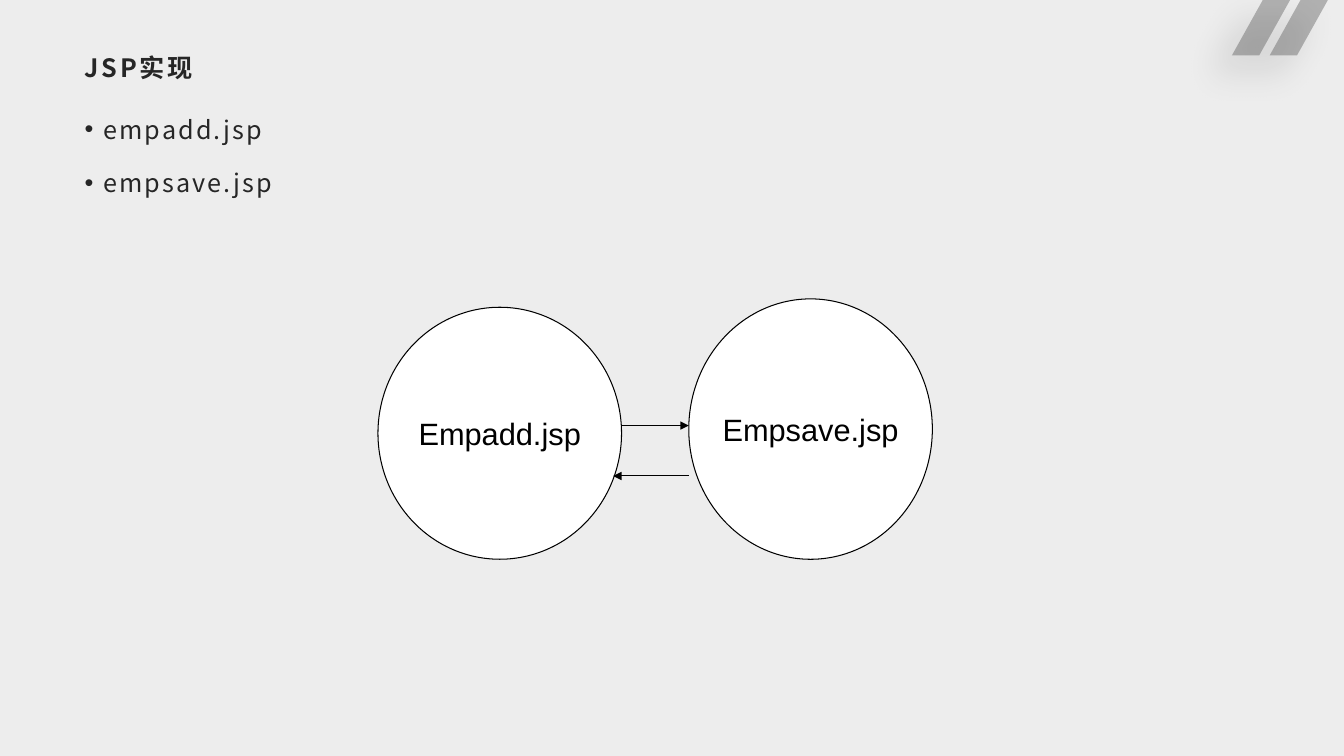
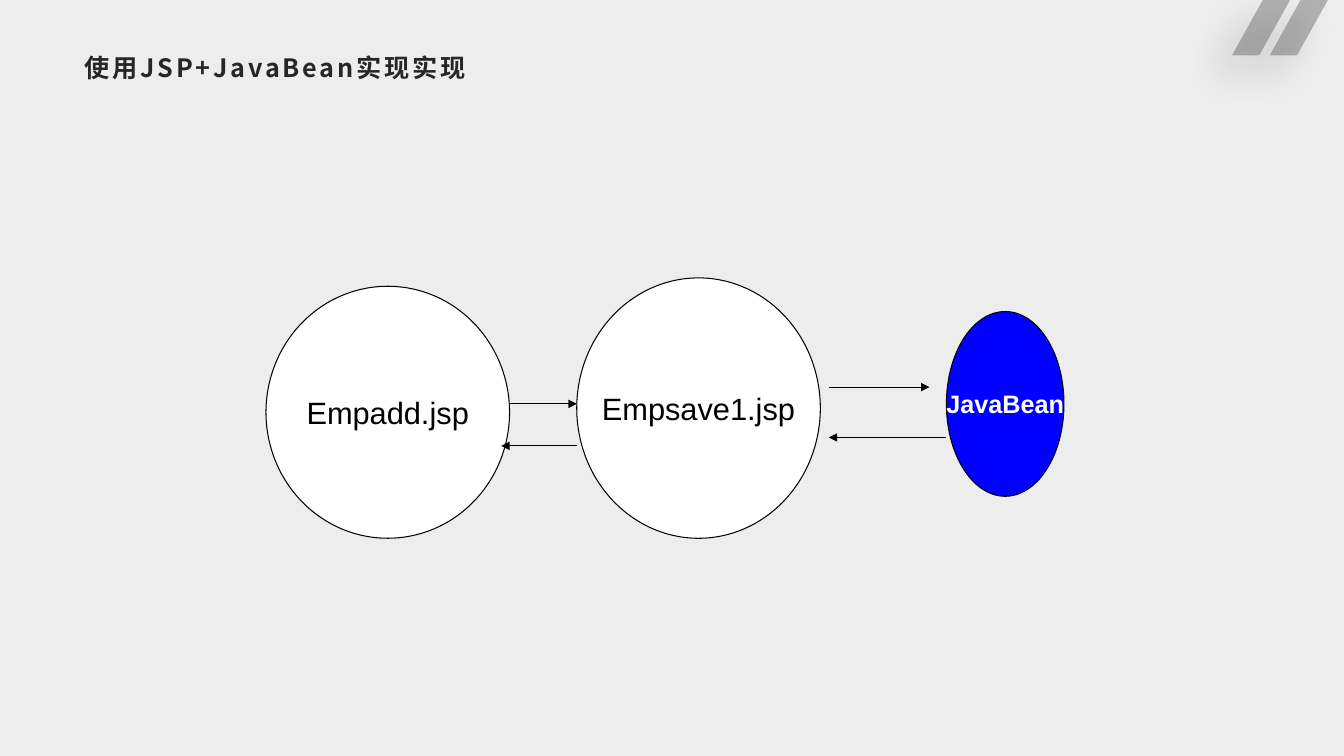
from dataclasses import dataclass

from lxml import etree
from pptx import Presentation
from pptx.dml.color import RGBColor
from pptx.enum import shapes, text
from pptx.oxml import ns
from pptx.util import Pt


@dataclass(frozen=True)
class Theme:
    background: str = "EDEDED"
    ink: str = "262626"
    outline: str = "000000"
    page_fill: str = "FFFFFF"
    bean_fill: str = "0000FF"
    bean_text: str = "FFFFFF"
    heading_font: str = "Noto Sans CJK SC"
    diagram_font: str = "Arial"
    heading_size: float = 18
    page_size: float = 22
    line_width: float = 0.75


THEME = Theme()


def add_xml(parent, tag, **attributes):
    """Append an element of the drawing namespace and return it."""
    child = etree.SubElement(parent, ns.qn(f"a:{tag}"))
    for key, value in attributes.items():
        child.set(key, str(value))
    return child


def write(paragraph, words, size=THEME.heading_size, font=THEME.heading_font,
          color=THEME.ink, bold=False, spacing=0, align=text.PP_ALIGN.LEFT):
    paragraph.alignment = align
    run = paragraph.add_run()
    run.text = words
    run.font.size = Pt(size)
    run.font.bold = bold
    run.font.color.rgb = RGBColor.from_string(color)
    run.font.name = font
    properties = run.font._element
    add_xml(properties, "ea", typeface=font)
    if spacing:
        properties.set("spc", str(int(spacing * 100)))


def set_frame(frame, left, top, right, bottom):
    """Set insets, wrapping and top anchoring of a text frame."""
    frame.margin_left, frame.margin_top = Pt(left), Pt(top)
    frame.margin_right, frame.margin_bottom = Pt(right), Pt(bottom)
    frame.word_wrap = True
    frame.auto_size = text.MSO_AUTO_SIZE.NONE
    frame.vertical_anchor = text.MSO_ANCHOR.TOP


class Deck:
    def __init__(self, theme):
        self.theme = theme
        self.slide = None
        self.presentation = Presentation()
        self.presentation.slide_width = Pt(960)
        self.presentation.slide_height = Pt(540)
        fill = self.presentation.slide_master.background.fill
        fill.solid()
        fill.fore_color.rgb = RGBColor.from_string(theme.background)

    def add_slide(self, title):
        self.slide = self.presentation.slides.add_slide(
            self.presentation.slide_layouts[5])
        self.add_corner_stripes()
        heading = self.slide.shapes.title
        heading.left, heading.top = Pt(52.5), Pt(34.5)
        heading.width, heading.height = Pt(855), Pt(34.5)
        set_frame(heading.text_frame, 8, 3, 6, 3)
        write(heading.text_frame.paragraphs[0], title, bold=True, spacing=2)

    def add_corner_stripes(self):
        stripe = [(902, 0), (921.5, 0), (899.5, 39.5), (880, 39.5)]
        builder = None
        for shift in (0, 27):
            start, *rest = [(Pt(x + shift), Pt(y)) for x, y in stripe]
            if builder is None:
                builder = self.slide.shapes.build_freeform(*start)
            else:
                builder.move_to(*start)
            builder.add_line_segments(rest, close=True)
        stripes = builder.convert_to_shape()
        stripes.line.fill.background()
        stripes.fill.solid()
        stripes.fill.fore_color.rgb = RGBColor.from_string(self.theme.ink)
        stripes.shadow.inherit = False
        properties = stripes._element.spPr
        add_xml(properties.find(".//" + ns.qn("a:srgbClr")), "alpha", val=30000)
        shadow = add_xml(properties.find(ns.qn("a:effectLst")), "outerShdw",
                         blurRad=Pt(26), dist=Pt(19), dir=135 * 60000,
                         algn="tr", rotWithShape=0)
        color = add_xml(shadow, "srgbClr", val=self.theme.outline)
        add_xml(color, "alpha", val=40000)

    def add_bullets(self, items):
        body = self.slide.shapes.add_textbox(Pt(52.5), Pt(75), Pt(855), Pt(424))
        frame = body.text_frame
        set_frame(frame, 8, 0, 6.5, 0)
        for index, item in enumerate(items):
            paragraph = frame.add_paragraph() if index else frame.paragraphs[0]
            paragraph.line_spacing = 1.3
            paragraph.space_after = Pt(10)
            properties = paragraph._p.get_or_add_pPr()
            properties.set("marL", str(Pt(13.5)))
            properties.set("indent", str(-Pt(13.5)))
            add_xml(properties, "buFont", typeface=self.theme.diagram_font)
            add_xml(properties, "buChar", char="•")
            write(paragraph, item, spacing=1.5)

    def add_ellipse(self, label, left, top, width, height, fill, **label_format):
        ellipse = self.slide.shapes.add_shape(
            shapes.MSO_SHAPE.OVAL, Pt(left), Pt(top), Pt(width), Pt(height))
        ellipse.shadow.inherit = False
        ellipse.fill.solid()
        ellipse.fill.fore_color.rgb = RGBColor.from_string(fill)
        ellipse.line.color.rgb = RGBColor.from_string(self.theme.outline)
        ellipse.line.width = Pt(self.theme.line_width)
        frame = ellipse.text_frame
        frame.word_wrap = False
        frame.vertical_anchor = text.MSO_ANCHOR.MIDDLE
        write(frame.paragraphs[0], label, font=self.theme.diagram_font,
              align=text.PP_ALIGN.CENTER, **label_format)

    def add_arrow(self, start, end, y):
        arrow = self.slide.shapes.add_connector(
            shapes.MSO_CONNECTOR.STRAIGHT, Pt(start), Pt(y), Pt(end), Pt(y))
        arrow.line.color.rgb = RGBColor.from_string(self.theme.outline)
        arrow.line.width = Pt(self.theme.line_width)
        add_xml(arrow.line._get_or_add_ln(), "tailEnd", type="triangle")
        add_xml(arrow._element.spPr, "effectLst")

    def add_page_pair(self, left, top, save_label, request_y, reply_y):
        """Draw the form page, the saving page and the arrows between them."""
        width, height, gap, rise = 174, 180, 48, 6
        form_right = left + width
        save_left = form_right + gap
        look = dict(fill=self.theme.page_fill, size=self.theme.page_size,
                    color=self.theme.outline)
        self.add_ellipse("Empadd.jsp", left, top, width, height, **look)
        self.add_ellipse(save_label, save_left, top - rise, width,
                         height + rise, **look)
        self.add_arrow(form_right, save_left, request_y)
        self.add_arrow(save_left, form_right - 6, reply_y)


def main():
    deck = Deck(THEME)

    deck.add_slide("JSP实现")
    deck.add_bullets(["empadd.jsp", "empsave.jsp"])
    deck.add_page_pair(270, 219.5, "Empsave.jsp", request_y=304, reply_y=340)

    deck.add_slide("使用JSP+JavaBean实现实现")
    deck.add_page_pair(190, 204.5, "Empsave1.jsp", request_y=288.5, reply_y=318.5)
    deck.add_ellipse("JavaBean", 676, 222.5, 84, 132, THEME.bean_fill,
                     color=THEME.bean_text, bold=True)
    deck.add_arrow(592, 664, 276.5)
    deck.add_arrow(676, 592, 312.5)

    deck.presentation.save("out.pptx")


if __name__ == "__main__":
    main()
